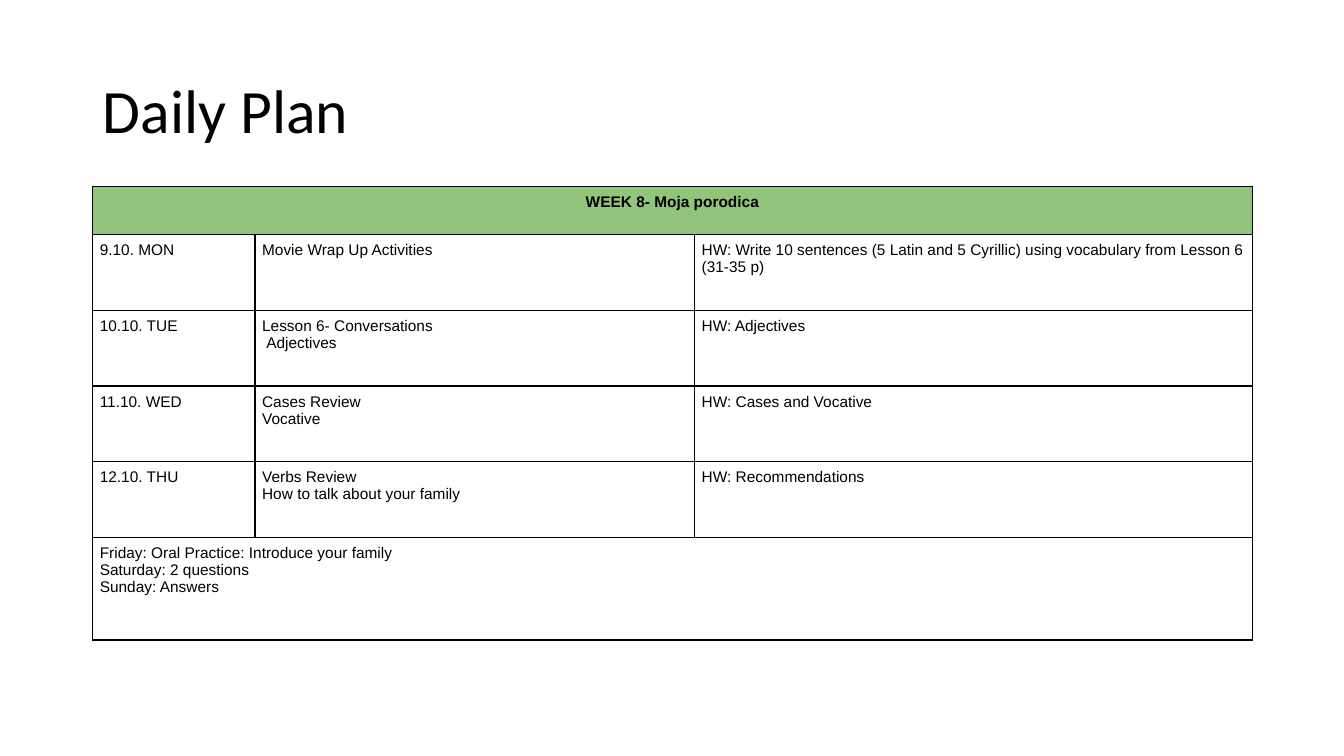
from lxml import etree
from pptx import Presentation
from pptx.dml.color import RGBColor
from pptx.enum import text
from pptx.oxml import ns
from pptx.util import Inches, Pt

TITLE = "Daily Plan"
WEEK = "WEEK 8- Moja porodica"
DAYS = [
    ("9.10. MON", "Movie Wrap Up Activities",
     "HW: Write 10 sentences (5 Latin and 5 Cyrillic) using vocabulary from Lesson 6 (31-35 p)"),
    ("10.10. TUE", "Lesson 6- Conversations\n\u00a0Adjectives", "HW: Adjectives"),
    ("11.10. WED", "Cases Review\nVocative", "HW: Cases and Vocative"),
    ("12.10. THU", "Verbs Review\nHow to talk about your family", "HW: Recommendations"),
]
WEEKEND = ("Friday: Oral Practice: Introduce your family\n"
           "Saturday: 2 questions\nSunday: Answers")

COLORS = {"ink": "000000", "header": "93C47D", "cell": "FFFFFF"}
COLUMNS = [1.61, 4.36, 5.53]
HEADER_H, DAY_H, WEEKEND_H = 0.48, 0.75, 1.02
LEFT, WIDTH = 0.92, sum(COLUMNS)
TITLE_TOP, TITLE_H = 0.4, 1.45
PAD = Inches(0.07)


def set_all(obj, values):
    """Set each attribute in values on obj."""
    for name, value in values.items():
        setattr(obj, name, value)


def style_text(tf, font, size, align, bold=False, spacing=1.0):
    """Format every paragraph of a text frame."""
    for p in tf.paragraphs:
        set_all(p, {"alignment": align, "line_spacing": spacing})
        for r in p.runs:
            set_all(r.font, {"name": font, "size": Pt(size), "bold": bold})
            r.font.color.rgb = RGBColor.from_string(COLORS["ink"])


def add_borders(cell):
    """Draw a one-point line on all four sides of a cell."""
    tcPr = cell._tc.get_or_add_tcPr()
    for side in ("lnL", "lnR", "lnT", "lnB"):
        ln = etree.SubElement(tcPr, ns.qn("a:" + side), w=str(Pt(1)))
        fill = etree.SubElement(ln, ns.qn("a:solidFill"))
        etree.SubElement(fill, ns.qn("a:srgbClr"), val=COLORS["ink"])


def format_cell(cell, is_header):
    """Give a cell its margins, borders, fill and text format."""
    set_all(cell, {"margin_" + side: PAD for side in ("left", "right", "top", "bottom")})
    add_borders(cell)
    cell.fill.solid()
    cell.fill.fore_color.rgb = RGBColor.from_string(COLORS["header" if is_header else "cell"])
    align = text.PP_ALIGN.CENTER if is_header else text.PP_ALIGN.LEFT
    style_text(cell.text_frame, "Arial", 11, align, bold=is_header)


def add_title(s):
    """Place the title above the table."""
    sp = s.shapes.title
    set_all(sp, {"left": Inches(LEFT), "top": Inches(TITLE_TOP),
                 "width": Inches(WIDTH), "height": Inches(TITLE_H)})
    tf = sp.text_frame
    set_all(tf, {"text": TITLE, "word_wrap": True,
                 "vertical_anchor": text.MSO_ANCHOR.MIDDLE})
    style_text(tf, "Calibri", 44, text.PP_ALIGN.LEFT, spacing=0.9)


def add_plan(s):
    """Build the week's table, with full-width first and last rows."""
    rows = [(WEEK,), *DAYS, (WEEKEND,)]
    heights = [HEADER_H] + [DAY_H] * len(DAYS) + [WEEKEND_H]
    table = s.shapes.add_table(len(rows), len(COLUMNS), Inches(LEFT),
                               Inches(TITLE_TOP + TITLE_H), Inches(WIDTH),
                               Inches(sum(heights))).table
    set_all(table, {"first_row": False, "horz_banding": False})
    for column, width in zip(table.columns, COLUMNS):
        column.width = Inches(width)
    for i, (row, values) in enumerate(zip(table.rows, rows)):
        row.height = Inches(heights[i])
        if len(values) == 1:
            table.cell(i, 0).merge(table.cell(i, len(COLUMNS) - 1))
        for cell, value in zip(row.cells, values):
            cell.text = value
        for cell in row.cells:
            format_cell(cell, i == 0)


prs = Presentation()
set_all(prs, {"slide_width": Inches(13.33), "slide_height": Inches(7.5)})
s = prs.slides.add_slide(prs.slide_layouts[5])
add_title(s)
add_plan(s)
prs.save("out.pptx")
